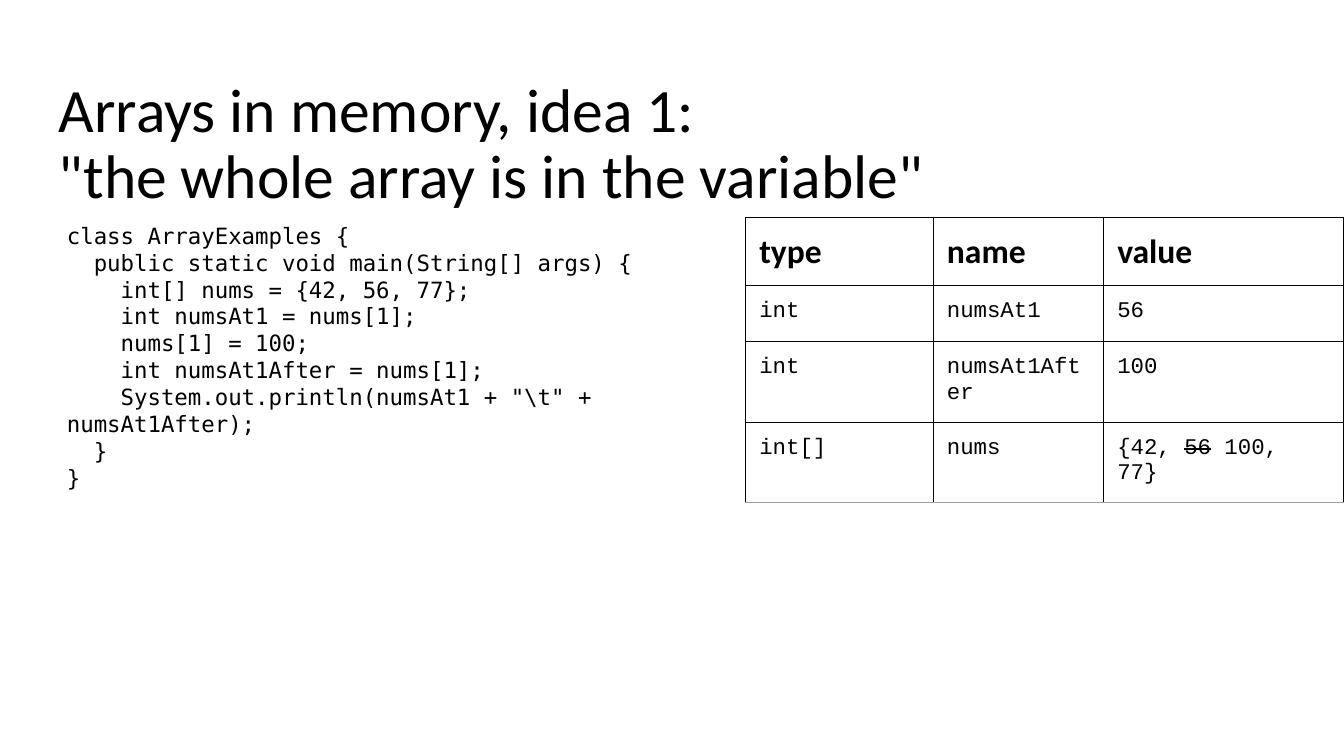
from lxml import etree
from pptx import Presentation
from pptx import util as u
from pptx.dml.color import RGBColor
from pptx.enum import text
from pptx.oxml import ns

COLOURS = {"ink": "000000", "rule": "000000", "bottom": "9E9E9E"}
INSET = u.Pt(9.6)
CODE = """class ArrayExamples {
  public static void main(String[] args) {
    int[] nums = {42, 56, 77};
    int numsAt1 = nums[1];
    nums[1] = 100;
    int numsAt1After = nums[1];
    System.out.println(numsAt1 + "\\t" + numsAt1After);
  }
}"""
MEMORY = [
    ["type", "name", "value"],
    ["int", "numsAt1", "56"],
    ["int", "numsAt1After", "100"],
    ["int[]", "nums", ("{42, ", "56", " 100, 77}")],
]


def add_run(paragraph, words, font, size, bold=False):
    """Append one styled run and return it."""
    run = paragraph.add_run()
    run.text = words
    run.font.name, run.font.size, run.font.bold = font, u.Pt(size), bold
    run.font.color.rgb = RGBColor.from_string(COLOURS["ink"])
    return run


def set_insets(holder):
    """Give a text frame or cell the same inset on every side."""
    holder.margin_left = holder.margin_right = INSET
    holder.margin_top = holder.margin_bottom = INSET


def add_text_box(slide, left, top, width, height):
    """Add a wrapping, top-anchored text box and return its frame."""
    box = slide.shapes.add_textbox(*map(u.Pt, (left, top, width, height)))
    frame = box.text_frame
    frame.word_wrap = True
    frame.vertical_anchor = text.MSO_ANCHOR.TOP
    set_insets(frame)
    return frame


def add_title(slide, lines):
    """Add the title as one paragraph with line breaks."""
    paragraph = add_text_box(slide, 32.4, 46.8, 894, 60.5).paragraphs[0]
    paragraph.line_spacing = 0.9
    for index, line in enumerate(lines):
        if index:
            paragraph.add_line_break()
        add_run(paragraph, line, "Calibri", 44)


def add_code(slide, code):
    """Add the code listing, one paragraph per line."""
    frame = add_text_box(slide, 38.2, 149, 520, 348.5)
    for index, line in enumerate(code.splitlines()):
        paragraph = frame.add_paragraph() if index else frame.paragraphs[0]
        add_run(paragraph, line, "DejaVu Sans Mono", 16)


def set_borders(cell, bottom):
    """Draw thin rules on the four sides of a cell."""
    properties = cell._tc.get_or_add_tcPr()
    sides = {"lnL": "rule", "lnR": "rule", "lnT": "rule", "lnB": bottom}
    for index, (side, colour) in enumerate(sides.items()):
        line = etree.Element(ns.qn("a:" + side), w=str(u.Pt(0.75)))
        fill = etree.SubElement(line, ns.qn("a:solidFill"))
        etree.SubElement(fill, ns.qn("a:srgbClr"), val=COLOURS[colour])
        properties.insert(index, line)


def fill_cell(cell, content, heading, last):
    """Write a cell, striking out the middle part of a changed value."""
    cell.fill.background()
    set_insets(cell)
    set_borders(cell, "bottom" if last else "rule")
    font, size = ("Calibri", 24) if heading else ("Courier New", 16)
    parts = [content] if isinstance(content, str) else content
    for index, part in enumerate(parts):
        run = add_run(cell.text_frame.paragraphs[0], part, font, size, heading)
        if index == 1:
            run.font._element.set("strike", "sngStrike")


def add_memory_table(slide, rows):
    """Add the table of variables held in memory."""
    widths, heights = (134, 121.7, 171.3), (48.3, 40.3, 40.3, 40.3)
    place = map(u.Pt, (532.8, 155.5, sum(widths), sum(heights)))
    table = slide.shapes.add_table(len(rows), len(widths), *place).table
    table.first_row = table.horz_banding = False
    for column, width in zip(table.columns, widths):
        column.width = u.Pt(width)
    for index, (row, height, values) in enumerate(zip(table.rows, heights, rows)):
        row.height = u.Pt(height)
        for cell, value in zip(row.cells, values):
            fill_cell(cell, value, index == 0, index == len(rows) - 1)


def main():
    """Build the slide and save it."""
    deck = Presentation()
    deck.slide_width, deck.slide_height = u.Pt(960), u.Pt(540)
    slide = deck.slides.add_slide(deck.slide_layouts[6])
    add_title(slide, ["Arrays in memory, idea 1:", '"the whole array is in the variable"'])
    add_code(slide, CODE)
    add_memory_table(slide, MEMORY)
    deck.save("out.pptx")


main()
